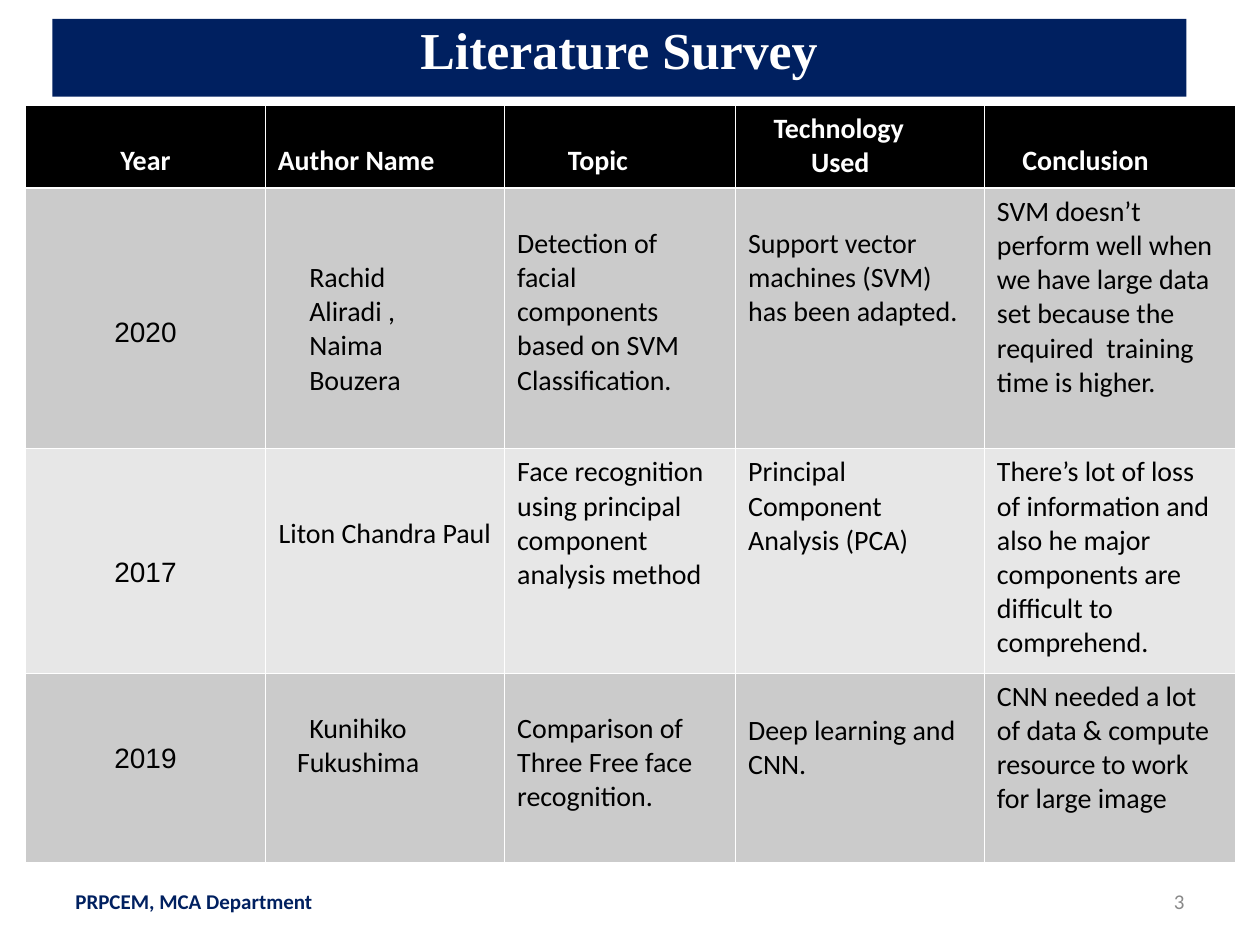
from dataclasses import dataclass

from lxml import etree
from pptx import Presentation
from pptx.dml.color import RGBColor
from pptx.enum.text import MSO_ANCHOR, MSO_AUTO_SIZE, PP_ALIGN
from pptx.oxml.ns import qn
from pptx.util import Pt

LEFT, CENTER, RIGHT = PP_ALIGN.LEFT, PP_ALIGN.CENTER, PP_ALIGN.RIGHT
TOP, MIDDLE = MSO_ANCHOR.TOP, MSO_ANCHOR.MIDDLE
NO_AUTOFIT = MSO_AUTO_SIZE.NONE

NAVY = RGBColor(0x00, 0x20, 0x60)
BLACK = RGBColor(0x00, 0x00, 0x00)
WHITE = RGBColor(0xFF, 0xFF, 0xFF)
DARK_BAND = RGBColor(0xCB, 0xCB, 0xCB)
LIGHT_BAND = RGBColor(0xE7, 0xE7, 0xE7)
GREY = RGBColor(0x89, 0x89, 0x89)

SANS, YEAR_FONT, SERIF = "Calibri", "Arial", "Times New Roman"
TABLE_SIZE = 16
THIN, THICK = 0.45, 1.47
COLUMN_WIDTHS = (136.8, 136.8, 132, 142.2, 143.4)
ROW_HEIGHTS = (47.5, 149, 128.2, 108)


@dataclass
class Entry:
    """Content of one table cell; top is the space above the text."""
    text: str
    top: float = 3.6
    indents: tuple = ()
    align: PP_ALIGN = LEFT


ROWS = (
    (
        Entry("Year", 22, align=CENTER),
        Entry("Author Name", 22),
        Entry("Topic", 22, (29,)),
        Entry("Technology\nUsed", indents=(14.5, 36)),
        Entry("Conclusion", 22, (14.5,)),
    ),
    (
        Entry("2020", 74, align=CENTER),
        Entry("Rachid\nAliradi ,\nNaima\nBouzera", 41.5, (18,) * 4),
        Entry("Detection of facial components based on SVM\nClassification.", 22),
        Entry("Support vector machines (SVM) has been adapted.", 22),
        Entry("SVM doesn’t perform well when we have large data set because "
              "the required  training time is higher."),
    ),
    (
        Entry("2017", 62, align=CENTER),
        Entry("Liton Chandra Paul", 39, align=CENTER),
        Entry("Face recognition using principal component analysis method"),
        Entry("Principal Component Analysis (PCA)"),
        Entry("There’s lot of loss of information and also he major "
              "components are difficult to comprehend."),
    ),
    (
        Entry("2019", 40, align=CENTER),
        Entry("Kunihiko\nFukushima", 22, (18, 11)),
        Entry("Comparison of Three Free face recognition.", 22),
        Entry("Deep learning and CNN.", 23),
        Entry("CNN needed a lot of data & compute resource to work for large image"),
    ),
)


class SlideBuilder:
    def __init__(self, slide):
        self.slide = slide

    def format_text(self, text_frame, font, size, color, bold=False, align=LEFT):
        for paragraph in text_frame.paragraphs:
            paragraph.alignment = align
            for run in paragraph.runs:
                run.font.name = font
                run.font.size = Pt(size)
                run.font.bold = bold
                run.font.color.rgb = color

    def title(self, text, left, top, width, height):
        shape = self.slide.shapes.title
        shape.left, shape.top = Pt(left), Pt(top)
        shape.width, shape.height = Pt(width), Pt(height)
        shape.fill.solid()
        shape.fill.fore_color.rgb = NAVY
        text_frame = shape.text_frame
        text_frame.text = text
        text_frame.auto_size = NO_AUTOFIT
        text_frame.vertical_anchor = TOP
        text_frame.paragraphs[0].line_spacing = 0.9
        self.format_text(text_frame, SERIF, 29.6, WHITE, True, CENTER)

    def footer(self, text, left, color, bold, align):
        box = self.slide.shapes.add_textbox(Pt(left), Pt(500.5), Pt(168), Pt(28.75))
        text_frame = box.text_frame
        text_frame.word_wrap = True
        text_frame.vertical_anchor = MIDDLE
        text_frame.text = text
        self.format_text(text_frame, SANS, 12, color, bold, align)

    def borders(self, cell, top, bottom):
        properties = cell._tc.get_or_add_tcPr()
        sides = (("lnL", THIN), ("lnR", THIN), ("lnT", top), ("lnB", bottom))
        for index, (side, width) in enumerate(sides):
            line = etree.Element(qn(f"a:{side}"), w=str(int(Pt(width))))
            fill = etree.SubElement(line, qn("a:solidFill"))
            etree.SubElement(fill, qn("a:srgbClr"), val=str(WHITE))
            properties.insert(index, line)

    def cell(self, cell, entry, fill, font, color, bold):
        cell.fill.solid()
        cell.fill.fore_color.rgb = fill
        cell.vertical_anchor = TOP
        cell.margin_top = Pt(entry.top)
        text_frame = cell.text_frame
        text_frame.text = entry.text
        self.format_text(text_frame, font, TABLE_SIZE, color, bold, entry.align)
        for paragraph, indent in zip(text_frame.paragraphs, entry.indents):
            paragraph._p.get_or_add_pPr().set("marL", str(int(Pt(indent))))

    def table(self, rows, left, top):
        frame = self.slide.shapes.add_table(
            len(rows), len(COLUMN_WIDTHS), Pt(left), Pt(top),
            Pt(sum(COLUMN_WIDTHS)), Pt(sum(ROW_HEIGHTS)))
        table = frame.table
        for column, width in zip(table.columns, COLUMN_WIDTHS):
            column.width = Pt(width)
        for row, height in zip(table.rows, ROW_HEIGHTS):
            row.height = Pt(height)
        for row_index, entries in enumerate(rows):
            header = row_index == 0
            band = DARK_BAND if row_index % 2 else LIGHT_BAND
            for column_index, entry in enumerate(entries):
                cell = table.cell(row_index, column_index)
                is_year = column_index == 0 and not header
                self.cell(cell, entry,
                          fill=BLACK if header else band,
                          font=YEAR_FONT if is_year else SANS,
                          color=WHITE if header else BLACK,
                          bold=header)
                self.borders(cell, THICK if row_index == 1 else THIN,
                             THICK if header else THIN)


def main():
    presentation = Presentation()
    presentation.slide_width, presentation.slide_height = Pt(720), Pt(540)
    title_only = presentation.slide_layouts[5]
    builder = SlideBuilder(presentation.slides.add_slide(title_only))

    # Title banner
    builder.title("Literature Survey", 30, 10.8, 648, 44.5)

    # Footer and slide number
    builder.footer("PRPCEM, MCA Department", 36, NAVY, True, LEFT)
    builder.footer("3", 516, GREY, False, RIGHT)

    # Survey table
    builder.table(ROWS, 14.75, 60)

    presentation.save("out.pptx")


if __name__ == "__main__":
    main()
